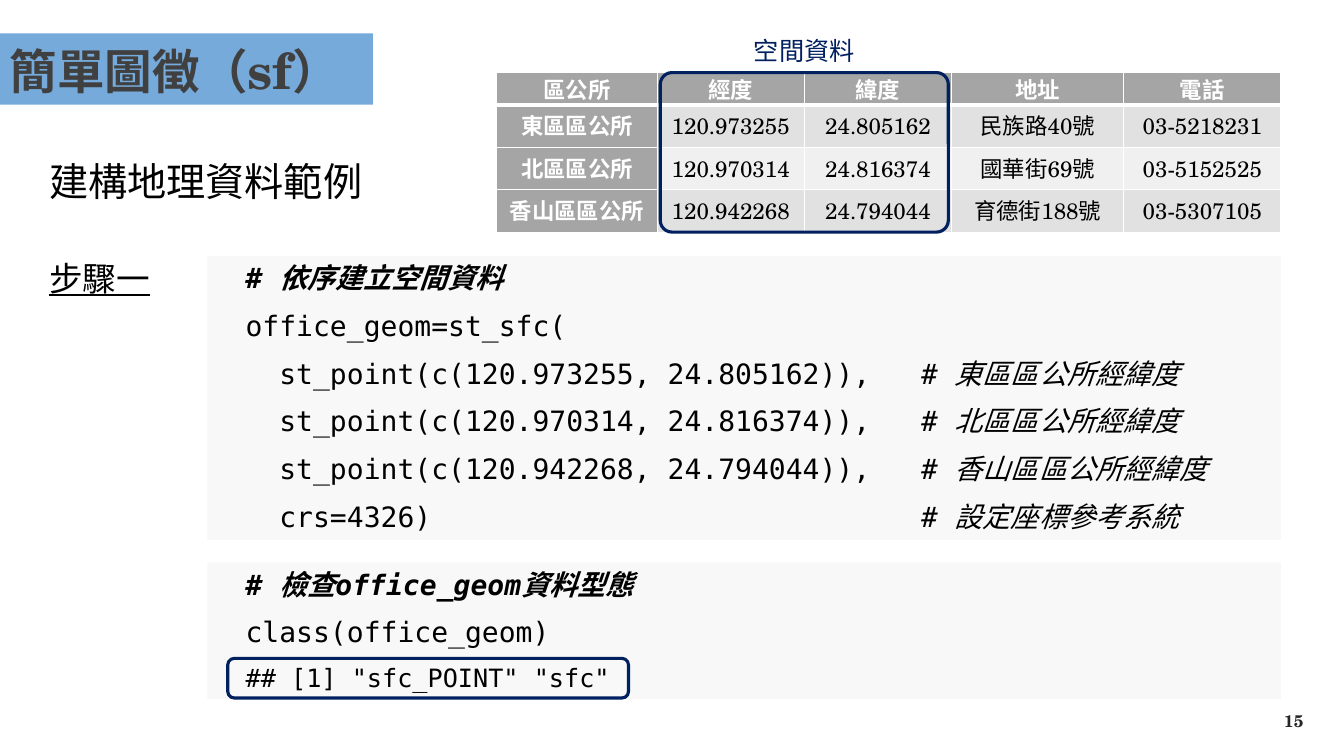
from dataclasses import dataclass

from lxml import etree
from pptx import Presentation
from pptx import util as u
from pptx.dml.color import RGBColor
from pptx.enum import shapes, text
from pptx.oxml.ns import qn

Cm, Pt = u.Cm, u.Pt


@dataclass(frozen=True)
class Theme:
    """Fonts, colours and type sizes of the slide."""
    serif: str = "TeX Gyre Schola"
    sans: str = "Noto Sans CJK SC"
    mono: str = "DejaVu Sans Mono"
    black: str = "000000"
    white: str = "FFFFFF"
    heading: str = "404040"
    footer: str = "262626"
    banner: str = "75AADB"
    accent: str = "002060"
    panel: str = "F8F8F8"
    header: str = "A5A5A5"
    bands: tuple = ("E1E1E1", "F0F0F0")
    title_size: int = 34
    latin_title_size: int = 36
    subtitle_size: int = 28
    step_size: int = 24
    code_size: int = 20
    label_size: int = 18
    cell_size: int = 16
    footer_size: int = 12
    code_gap: int = 10


T = Theme()

CODE_INDENT = Cm(0.71)
COMMENT_COLUMN = 40
COLUMNS = (4.04, 3.71, 3.71, 4.34, 3.96)
HEADER_ROW, BODY_ROW = 0.81, 1.07
OFFICES = (
    ("區公所", "經度", "緯度", "地址", "電話"),
    ("東區區公所", "120.973255", "24.805162", "民族路40號", "03-5218231"),
    ("北區區公所", "120.970314", "24.816374", "國華街69號", "03-5152525"),
    ("香山區區公所", "120.942268", "24.794044", "育德街188號", "03-5307105"),
)
BUILD_CODE = (
    ("", "# 依序建立空間資料"),
    ("office_geom=st_sfc(", ""),
    ("  st_point(c(120.973255, 24.805162)),", "# 東區區公所經緯度"),
    ("  st_point(c(120.970314, 24.816374)),", "# 北區區公所經緯度"),
    ("  st_point(c(120.942268, 24.794044)),", "# 香山區區公所經緯度"),
    ("  crs=4326)", "# 設定座標參考系統"),
)
CHECK_CODE = (
    ("", "# 檢查office_geom資料型態"),
    ("class(office_geom)", ""),
    ('## [1] "sfc_POINT" "sfc"', ""),
)


def rgb(color):
    """Return a colour object for a hex string."""
    return RGBColor.from_string(color)


def set_font(font, name, size, color, bold=False):
    """Apply one typeface to both Latin and East Asian text."""
    font.name, font.size, font.bold = name, Pt(size), bold
    font.color.rgb = rgb(color)
    latin = font._rPr.find(qn("a:latin"))
    ea = etree.Element(qn("a:ea"), typeface=name)
    latin.addnext(ea)


def add_label(s, box, words, size, color=T.black, align=text.PP_ALIGN.LEFT, bold=False):
    """Add a single-line text box and return its paragraph."""
    tf = s.shapes.add_textbox(*map(Cm, box)).text_frame
    tf.word_wrap = align != text.PP_ALIGN.LEFT
    p = tf.paragraphs[0]
    p.text, p.alignment = words, align
    set_font(p.font, T.serif, size, color, bold)
    return p


def add_outline(s, box, radius):
    """Draw a rounded highlight frame."""
    sp = s.shapes.add_shape(shapes.MSO_SHAPE.ROUNDED_RECTANGLE, *map(Cm, box))
    sp.adjustments[0] = radius
    sp.shadow.inherit = False
    sp.fill.background()
    sp.line.color.rgb = rgb(T.accent)
    sp.line.width = Pt(2.25)


def add_title(s, box):
    """Place the banner title on one line."""
    sp = s.shapes.title
    sp.left, sp.top, sp.width, sp.height = map(Cm, box)
    sp.fill.solid()
    sp.fill.fore_color.rgb = rgb(T.banner)
    tf = sp.text_frame
    tf.word_wrap = False
    tf.auto_size = text.MSO_AUTO_SIZE.NONE
    tf.vertical_anchor = text.MSO_ANCHOR.MIDDLE
    tf.margin_left = Cm(0.25)
    tf.margin_right = tf.margin_top = tf.margin_bottom = 0
    p = tf.paragraphs[0]
    p.alignment = text.PP_ALIGN.LEFT
    for words, name, size in (
        ("簡單圖徵（", T.sans, T.title_size),
        ("sf", T.serif, T.latin_title_size),
        ("）", T.sans, T.title_size),
    ):
        r = p.add_run()
        r.text = words
        set_font(r.font, name, size, T.heading, True)


def add_code(s, box, lines, last_size=T.code_size):
    """Fill a panel with code lines and italic comments."""
    sp = s.shapes.add_shape(shapes.MSO_SHAPE.RECTANGLE, *map(Cm, box))
    sp.shadow.inherit = False
    sp.fill.solid()
    sp.fill.fore_color.rgb = rgb(T.panel)
    sp.line.fill.background()
    tf = sp.text_frame
    tf.word_wrap = True
    tf.vertical_anchor = text.MSO_ANCHOR.TOP
    for i, (code, comment) in enumerate(lines):
        p = tf.paragraphs[0] if i == 0 else tf.add_paragraph()
        size = last_size if i == len(lines) - 1 else T.code_size
        p.alignment = text.PP_ALIGN.LEFT
        p.line_spacing, p.space_after = Pt(1.2 * size), Pt(T.code_gap)
        p._p.get_or_add_pPr().set("indent", str(CODE_INDENT))
        set_font(p.font, T.mono, size, T.black, bold=not code)
        if code:
            p.add_run().text = code.ljust(COMMENT_COLUMN) if comment else code
        if comment:
            r = p.add_run()
            r.text, r.font.italic = comment, True


def add_check(s, box):
    """Place the type check and frame its whole result."""
    x, y, w, h = box
    add_code(s, box, CHECK_CODE, T.label_size)
    add_outline(s, (x + 0.51, y + 2.42, 10.1, 1), 0.167)


def set_borders(cell, bottom):
    """Give a cell white borders with the given bottom width."""
    tcPr = cell._tc.get_or_add_tcPr()
    for i, (tag, width) in enumerate((("lnL", 1), ("lnR", 1), ("lnT", 1), ("lnB", bottom))):
        ln = etree.Element(qn(f"a:{tag}"), w=str(Pt(width)))
        fill = etree.SubElement(ln, qn("a:solidFill"))
        etree.SubElement(fill, qn("a:srgbClr"), val=T.white)
        tcPr.insert(i, ln)


def add_offices(s, box):
    """Place the office table with its spatial columns framed and labelled."""
    x, y, w, h = box
    table = s.shapes.add_table(len(OFFICES), len(COLUMNS), *map(Cm, box)).table
    table.first_row = table.horz_banding = False
    for column, width in zip(table.columns, COLUMNS):
        column.width = Cm(width)
    for i, values in enumerate(OFFICES):
        table.rows[i].height = Cm(BODY_ROW if i else HEADER_ROW)
        for j, value in enumerate(values):
            cell = table.cell(i, j)
            heading = i == 0 or j == 0
            cell.margin_left = cell.margin_right = Cm(0.18)
            cell.margin_top = cell.margin_bottom = 0
            cell.vertical_anchor = text.MSO_ANCHOR.MIDDLE
            cell.fill.solid()
            cell.fill.fore_color.rgb = rgb(T.header if heading else T.bands[(i - 1) % 2])
            set_borders(cell, 1 if i else 3)
            p = cell.text_frame.paragraphs[0]
            p.text, p.alignment = value, text.PP_ALIGN.CENTER
            set_font(p.font, T.serif, T.cell_size, T.white if heading else T.black, heading)
    left, width = x + COLUMNS[0] + 0.08, sum(COLUMNS[1:3]) - 0.16
    add_outline(s, (left, y, width, h), 0.074)
    add_label(s, (left, y - 1.07, width, 1.02), "空間資料", T.label_size, T.accent,
              text.PP_ALIGN.CENTER)


def main():
    """Build the slide and save it."""
    prs = Presentation()
    prs.slide_width, prs.slide_height = Cm(33.87), Cm(19.05)
    s = prs.slides.add_slide(prs.slide_layouts[5])
    add_title(s, (0, 0.84, 9.4, 1.8))
    add_label(s, (0.99, 3.84, 8.48, 1.45), "建構地理資料範例", T.subtitle_size)
    add_offices(s, (12.52, 1.83, sum(COLUMNS), HEADER_ROW + 3 * BODY_ROW))
    add_label(s, (0.99, 6.38, 3.07, 1.27), "步驟一", T.step_size).font.underline = True
    add_code(s, (5.23, 6.45, 27.05, 7.16), BUILD_CODE)
    add_check(s, (5.23, 14.17, 27.05, 3.45))
    add_label(s, (25.48, 17.78, 7.62, 1.02), "15", T.footer_size, T.footer,
              text.PP_ALIGN.RIGHT, True)
    prs.save("out.pptx")


if __name__ == "__main__":
    main()
